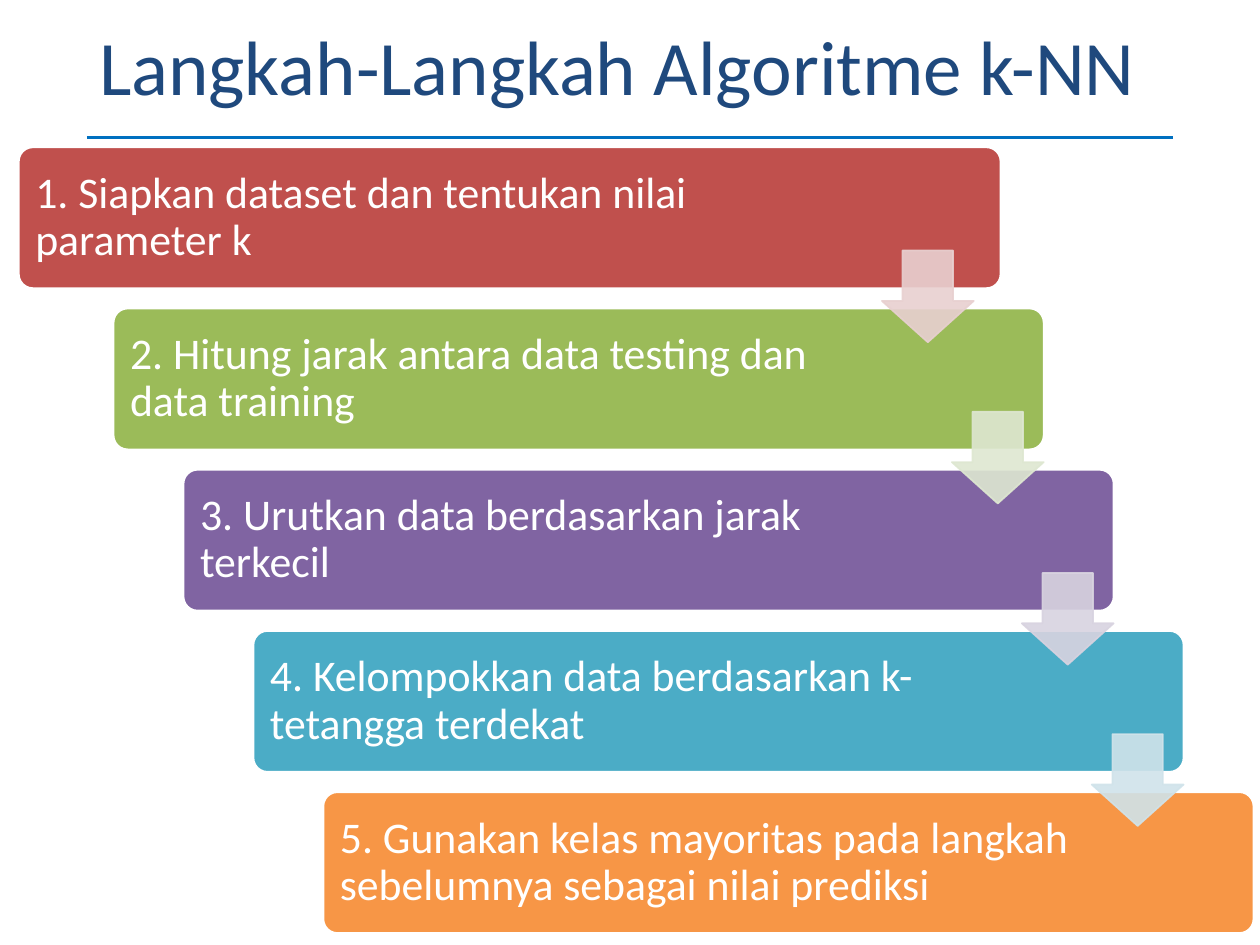
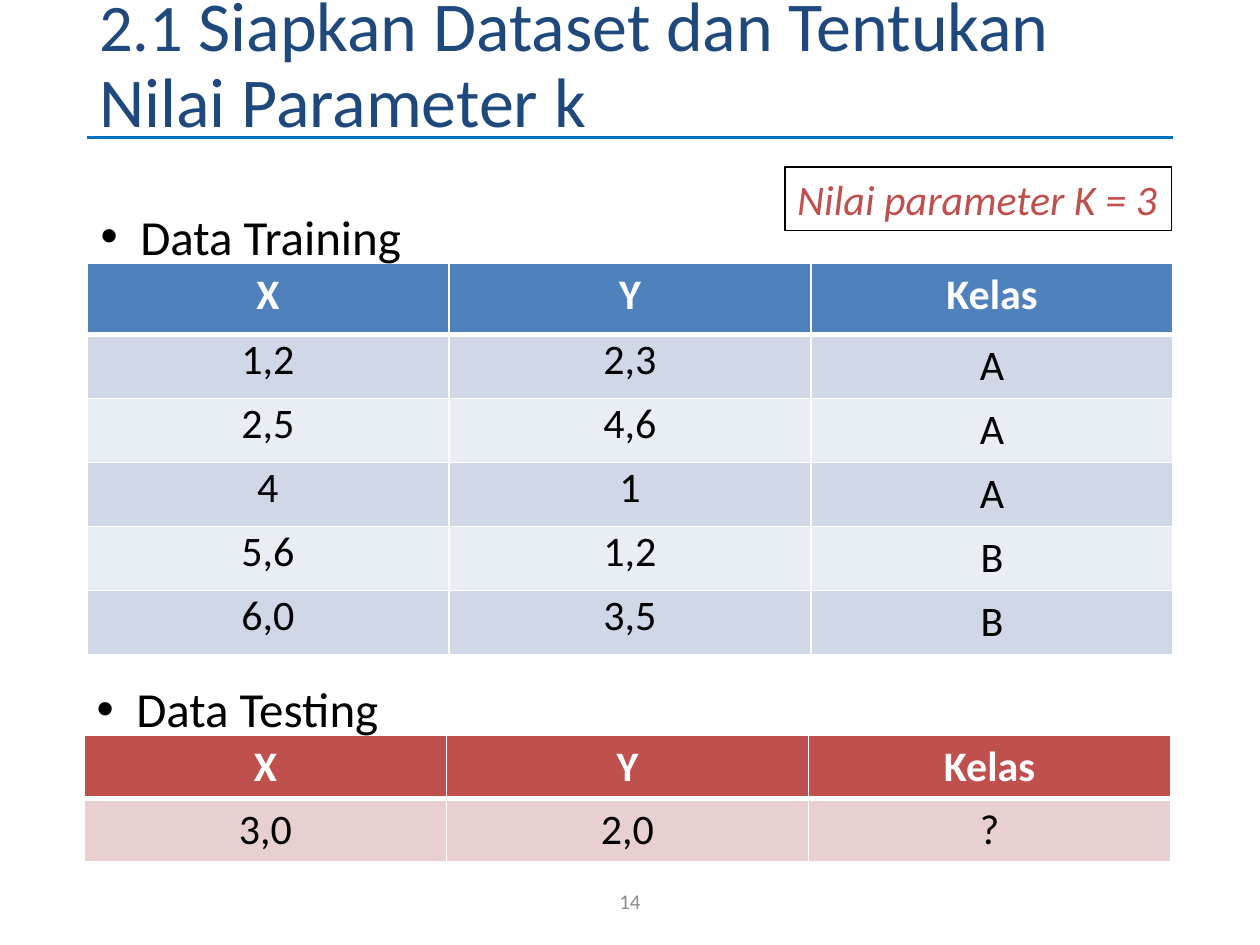
from lxml.etree import SubElement
from pptx import Presentation
from pptx.dml.color import RGBColor
from pptx.enum.shapes import MSO_CONNECTOR as Line, MSO_SHAPE as Shape
from pptx.enum.text import MSO_ANCHOR as Anchor, PP_ALIGN as Align
from pptx.oxml.ns import qn
from pptx.util import Cm, Pt

FONT = "Calibri"
WHITE, BLACK, NAVY, RULE, GREY = "FFFFFF", "000000", "1F497D", "0070C0", "8C8C8C"
RED, BLUE = "C0504D", "4F81BD"
PALE_RED, PALE_BLUES = "E8D0D0", ["D0D8E8", "E9EDF4"]
MARGIN, CONTENT_WIDTH = 1.75, 21.9


def paint(target, color):
    """Give a fill or line fill a solid colour."""
    target.solid()
    target.fore_color.rgb = RGBColor.from_string(color)


def set_alpha(target, percent):
    color = target.find(".//" + qn("a:srgbClr"))
    SubElement(color, qn("a:alpha"), val=str(percent * 1000))


def write(frame, text, size=24, color=BLACK, bold=False, italic=False,
          align=Align.LEFT, spacing=None, bullet=False):
    """Add text to the first paragraph of a frame."""
    para = frame.paragraphs[0]
    para.alignment = align
    if spacing:
        para.line_spacing = spacing
    if bullet:
        props = para._p.get_or_add_pPr()
        props.set("marL", str(Cm(0.8)))
        props.set("indent", str(-Cm(0.8)))
        SubElement(props, qn("a:buFont"), typeface="Arial")
        SubElement(props, qn("a:buChar"), char="•")
    span = para.add_run()
    span.text = text
    font = span.font
    font.name, font.size, font.bold, font.italic = FONT, Pt(size), bold, italic
    font.color.rgb = RGBColor.from_string(color)


def add_frame(page, left, top, width, height, wrap=True, anchor=Anchor.TOP):
    box = page.shapes.add_textbox(Cm(left), Cm(top), Cm(width), Cm(height))
    box.text_frame.word_wrap = wrap
    box.text_frame.vertical_anchor = anchor
    return box.text_frame


def add_block(page, kind, left, top, width, height, line, fill=None):
    block = page.shapes.add_shape(kind, Cm(left), Cm(top), Cm(width), Cm(height))
    block.shadow.inherit = False
    if fill:
        paint(block.fill, fill)
    else:
        block.fill.background()
    paint(block.line.fill, line)
    block.line.width = Pt(1)
    return block


def add_page(deck, title_spans, title_top, title_width):
    """Start a slide with its rule and title, given as (text, size) spans."""
    page = deck.slides.add_slide(deck.slide_layouts[6])
    rule = page.shapes.add_connector(
        Line.STRAIGHT, Cm(MARGIN), Cm(2.77), Cm(MARGIN + CONTENT_WIDTH), Cm(2.77))
    paint(rule.line.fill, RULE)
    rule.line.width = Pt(1.5)
    SubElement(rule._element.spPr, qn("a:effectLst"))
    frame = add_frame(page, MARGIN, title_top, title_width, 1.98, anchor=Anchor.MIDDLE)
    for text, size in title_spans:
        write(frame, text, size=size, color=NAVY, spacing=0.9)
    return page


def add_step(page, text, fill, left, top, width, height):
    step = add_block(page, Shape.ROUNDED_RECTANGLE, left, top, width, height, WHITE, fill)
    step.adjustments[0] = 0.1
    frame = step.text_frame
    frame.word_wrap = True
    frame.vertical_anchor = Anchor.MIDDLE
    frame.margin_left, frame.margin_right = Cm(0.25), Cm(3.5)
    write(frame, text, size=25, color=WHITE, spacing=0.9)


def add_step_arrow(page, color, left, top, size):
    arrow = add_block(page, Shape.DOWN_ARROW, left, top, size, size, color, color)
    arrow.adjustments[0], arrow.adjustments[1] = 0.55, 0.45
    props = arrow._element.spPr
    set_alpha(props.find(qn("a:solidFill")), 90)
    set_alpha(props.find(qn("a:ln")), 90)


def add_staircase(page, steps, arrow_colors, left, top):
    """Place the steps down to the right, with an arrow over each joint."""
    shift, pitch, width, first_extra = 1.41, 3.25, 18.75, 0.5
    for index, (text, fill) in enumerate(steps):
        # The first step reaches further out on the left
        start = left + first_extra + index * shift if index else left
        step_width = width if index else width + 1.04
        add_step(page, text, fill, start, top + index * pitch, step_width, 2.84)
    for index, color in enumerate(arrow_colors):
        add_step_arrow(page, color, left + 17.4 + index * shift,
                       top + 2.08 + index * pitch, 1.85)


def set_borders(cell, bottom):
    props = cell._tc.get_or_add_tcPr()
    widths = {"a:lnL": 1, "a:lnR": 1, "a:lnT": 1, "a:lnB": bottom}
    for index, (side, points) in enumerate(widths.items()):
        edge = props.makeelement(qn(side), {"w": str(Pt(points))})
        SubElement(SubElement(edge, qn("a:solidFill")), qn("a:srgbClr"), val=WHITE)
        props.insert(index, edge)


def add_data_table(page, rows, left, top, heights, head_fill, body_fills, tight_columns=0):
    """Add a table; the first tight_columns of its body have no top margin."""
    table = page.shapes.add_table(len(rows), len(rows[0]), Cm(left), Cm(top),
                                  Cm(CONTENT_WIDTH), Cm(sum(heights))).table
    table.horz_banding = False
    for row, height in zip(table.rows, heights):
        row.height = Cm(height)
    for r, values in enumerate(rows):
        head = r == 0
        for c, value in enumerate(values):
            cell = table.cell(r, c)
            paint(cell.fill, head_fill if head else body_fills[(r - 1) % len(body_fills)])
            set_borders(cell, bottom=3 if head or (r == 1 and False) else 1)
            if not head and c < tight_columns:
                cell.margin_left = cell.margin_right = Cm(0.19)
                cell.margin_top = cell.margin_bottom = 0
            write(cell.text_frame, value, color=WHITE if head else BLACK,
                  bold=head, align=Align.CENTER)


def add_bullet_label(page, text, left, top, width):
    write(add_frame(page, left, top, width, 1.45, wrap=False), text, size=28, bullet=True)


def add_parameter_box(page, text, left, top, width, height):
    box = add_block(page, Shape.RECTANGLE, left, top, width, height, BLACK)
    box.text_frame.word_wrap = False
    box.text_frame.vertical_anchor = Anchor.TOP
    write(box.text_frame, text, color=RED, italic=True)


def add_page_number(page, number):
    frame = add_frame(page, 9.85, 17.66, 5.7, 1.01, anchor=Anchor.MIDDLE)
    write(frame, number, size=12, color=GREY, align=Align.CENTER)


def build_steps_page(deck):
    page = add_page(deck, [("Langkah-Langkah Algoritme k-NN", 44)], 0.43, CONTENT_WIDTH)
    steps = [
        ("1. Siapkan dataset dan tentukan nilai parameter k", RED),
        ("2. Hitung jarak antara data testing dan data training", "9BBB59"),
        ("3. Urutkan data berdasarkan jarak terkecil", "8064A2"),
        ("4. Kelompokkan data berdasarkan k-tetangga terdekat", "4BACC6"),
        ("5. Gunakan kelas mayoritas pada langkah sebelumnya sebagai nilai prediksi", "F79646"),
    ]
    add_staircase(page, steps, [PALE_RED, "DEE7D1", "D8D3E0", "D0E3EA"], 0.38, 2.97)


def build_dataset_page(deck):
    title = [("2.1 ", 38), ("Siapkan Dataset dan Tentukan Nilai Parameter k", 40)]
    page = add_page(deck, title, 0.36, 21.1)
    header = ["X", "Y", "Kelas"]
    training = [["1,2", "2,3", "A"], ["2,5", "4,6", "A"], ["4", "1", "A"],
                ["5,6", "1,2", "B"], ["6,0", "3,5", "B"]]
    add_data_table(page, [header] + training, MARGIN, 5.3, [1.44] + [1.29] * 5,
                   BLUE, PALE_BLUES, tight_columns=2)
    add_bullet_label(page, "Data Training", 1.78, 4.04, 6.63)
    add_data_table(page, [header, ["3,0", "2,0", "?"]], 1.7, 14.82, [1.25, 1.25],
                   RED, [PALE_RED])
    add_bullet_label(page, "Data Testing", 1.7, 13.56, 6.25)
    add_parameter_box(page, "Nilai parameter K = 3", 15.82, 3.37, 7.8, 1.28)
    add_page_number(page, "14")


def main():
    deck = Presentation()
    deck.slide_width, deck.slide_height = Cm(25.4), Cm(19.05)
    build_steps_page(deck)
    build_dataset_page(deck)
    deck.save("out.pptx")


if __name__ == "__main__":
    main()
